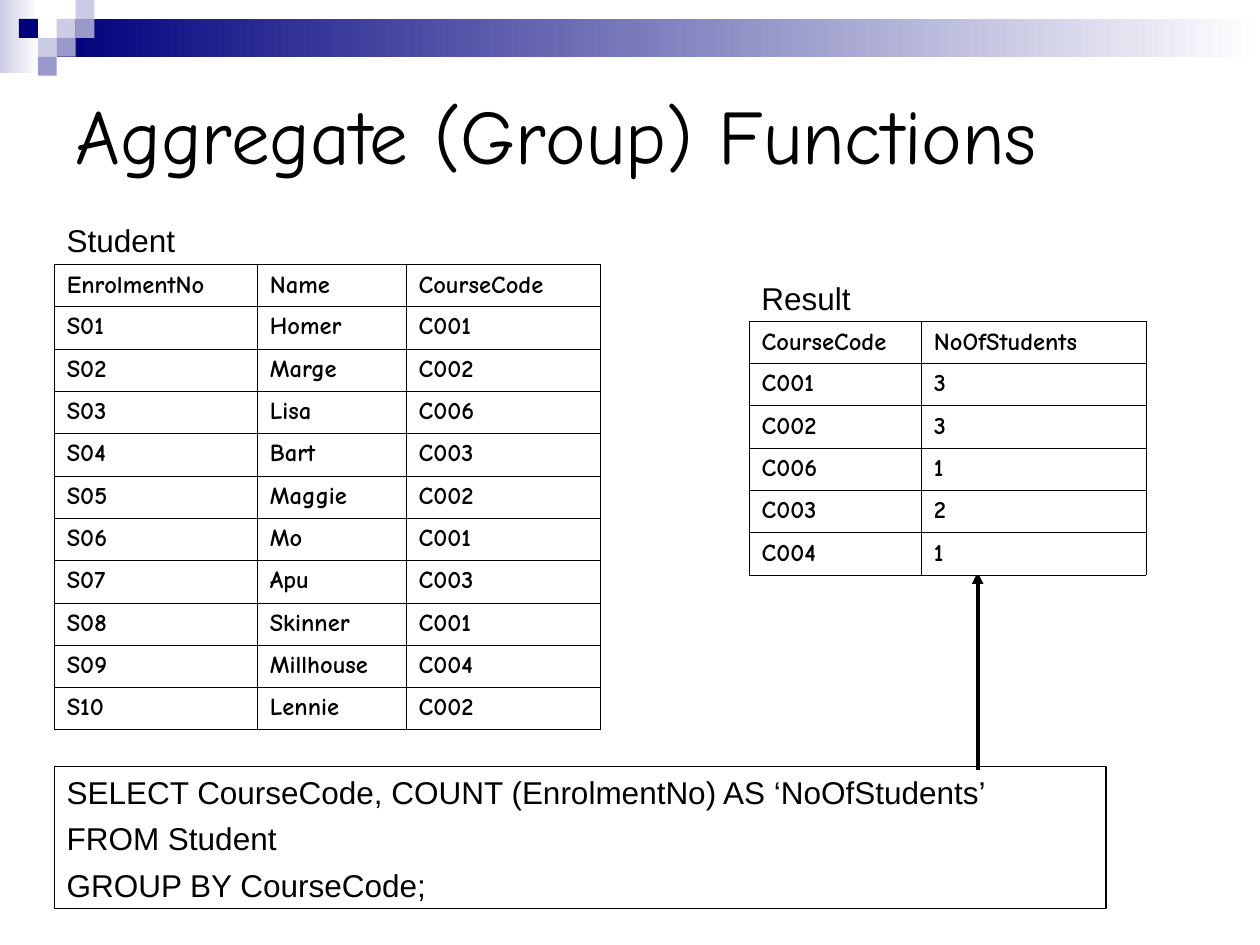
from pptx import Presentation, util as u
from pptx.dml import color
from pptx.enum import shapes, text
from pptx.oxml import parse_xml, ns

Pt = u.Pt
HUES = {"ink": "000000", "paper": "FFFFFF", "navy": "00007D", "mid": "9999CC", "pale": "CCCCE6"}


class Deck:
    hand, sans = "Comic Neue", "Arial"

    def __init__(self, wide, high):
        self.prs = Presentation()
        self.prs.slide_width, self.prs.slide_height = Pt(wide), Pt(high)
        self.slide = self.prs.slides.add_slide(self.prs.slide_layouts[5])

    def hue(self, name):
        return color.RGBColor.from_string(HUES[name])

    def style(self, para, face, size, bold=False):
        font = para.font
        font.name, font.size, font.bold = face, Pt(size), bold
        font.color.rgb = self.hue("ink")

    def title(self, words, *box):
        head = self.slide.shapes.title
        head.left, head.top, head.width, head.height = map(Pt, box)
        frame = head.text_frame
        frame.text = words
        frame.vertical_anchor = text.MSO_ANCHOR.MIDDLE
        para = frame.paragraphs[0]
        para.alignment = text.PP_ALIGN.LEFT
        self.style(para, self.hand, 44)

    def block(self, hues, *box):
        rect = self.slide.shapes.add_shape(shapes.MSO_SHAPE.RECTANGLE, *map(Pt, box))
        rect.shadow.inherit = False
        rect.line.fill.background()
        if len(hues) == 1:
            rect.fill.solid()
            rect.fill.fore_color.rgb = self.hue(hues[0])
        else:
            rect.fill.gradient()
            rect.fill.gradient_angle = 0
            for stop, name in zip(rect.fill.gradient_stops, hues):
                stop.color.rgb = self.hue(name)

    def label(self, lines, *box, frame=False):
        area = self.slide.shapes.add_textbox(*map(Pt, box))
        if frame:
            area.line.color.rgb = self.hue("ink")
            area.line.width = Pt(0.75)
        body = area.text_frame
        body.word_wrap = True
        body.text = "\n".join(lines)
        for i, para in enumerate(body.paragraphs):
            para.space_before = Pt(5 if i else 0)
            self.style(para, self.sans, 18)

    def border(self, cell):
        props = cell._tc.get_or_add_tcPr()
        for i, side in enumerate(("lnL", "lnR", "lnT", "lnB")):
            props.insert(i, parse_xml(
                f'<a:{side} {ns.nsdecls("a")} w="{Pt(0.34)}"><a:solidFill>'
                f'<a:srgbClr val="{HUES["ink"]}"/></a:solidFill></a:{side}>'))

    def table(self, rows, cols, left, top, step=24.2):
        grid = self.slide.shapes.add_table(
            len(rows), len(cols), Pt(left), Pt(top), Pt(sum(cols)), Pt(step * len(rows))).table
        grid.first_row = grid.horz_banding = False
        for col, wide in zip(grid.columns, cols):
            col.width = Pt(wide)
        for r, row in enumerate(rows):
            grid.rows[r].height = Pt(step)
            for c, word in enumerate(row):
                cell = grid.cell(r, c)
                cell.text = word
                if r:
                    cell.fill.solid()
                    cell.fill.fore_color.rgb = self.hue("paper")
                else:
                    cell.fill.background()
                    cell.vertical_anchor = text.MSO_ANCHOR.MIDDLE
                self.style(cell.text_frame.paragraphs[0], self.hand, 14, True)
                self.border(cell)

    def arrow(self, *ends):
        line = self.slide.shapes.add_connector(shapes.MSO_CONNECTOR.STRAIGHT, *map(Pt, ends))
        line.line.color.rgb = self.hue("ink")
        line.line.width = Pt(2.25)
        line.line._get_or_add_ln().append(
            parse_xml(f'<a:tailEnd {ns.nsdecls("a")} type="triangle"/>'))
        line._element.spPr.append(parse_xml(f'<a:effectLst {ns.nsdecls("a")}/>'))


def main():
    deck = Deck(720, 540)
    deck.block(("pale", "paper"), 0, 0, 22.3, 41.8)
    deck.block(("navy", "paper"), 32.4, 10.8, 687.6, 21.6)
    unit = 10.8
    tiles = ((3, 1, "pale"), (4, 0, "pale"), (4, 1, "mid"), (2, 2, "pale"),
             (1, 1, "navy"), (3, 2, "mid"), (2, 3, "mid"))
    for col, row, name in tiles:
        deck.block((name,), col * unit, row * unit, unit, unit)

    deck.title("Aggregate (Group) Functions", 36, 36, 648, 81)

    names = "Homer Marge Lisa Bart Maggie Mo Apu Skinner Millhouse Lennie".split()
    codes = "C001 C002 C006 C003 C002 C001 C003 C001 C004 C002".split()
    pupils = [("EnrolmentNo", "Name", "CourseCode")]
    pupils += [(f"S{i:02}", *pair) for i, pair in enumerate(zip(names, codes), 1)]
    deck.table(pupils, (116, 85, 111), 31, 151)

    query = ("SELECT CourseCode, COUNT (EnrolmentNo) AS ‘NoOfStudents’",
             "FROM Student", "GROUP BY CourseCode;")
    deck.label(query, 31, 438, 601, 81, frame=True)
    deck.arrow(558.7, 440, 558.7, 327)

    deck.label(("Result",), 428, 156, 85, 29)
    counts = [("CourseCode", "NoOfStudents")]
    counts += [(code, str(codes.count(code))) for code in dict.fromkeys(codes)]
    deck.table(counts, (98.5, 128.5), 428, 183.5)
    deck.label(("Student",), 31, 122.5, 85, 29)
    deck.prs.save("out.pptx")


if __name__ == "__main__":
    main()
